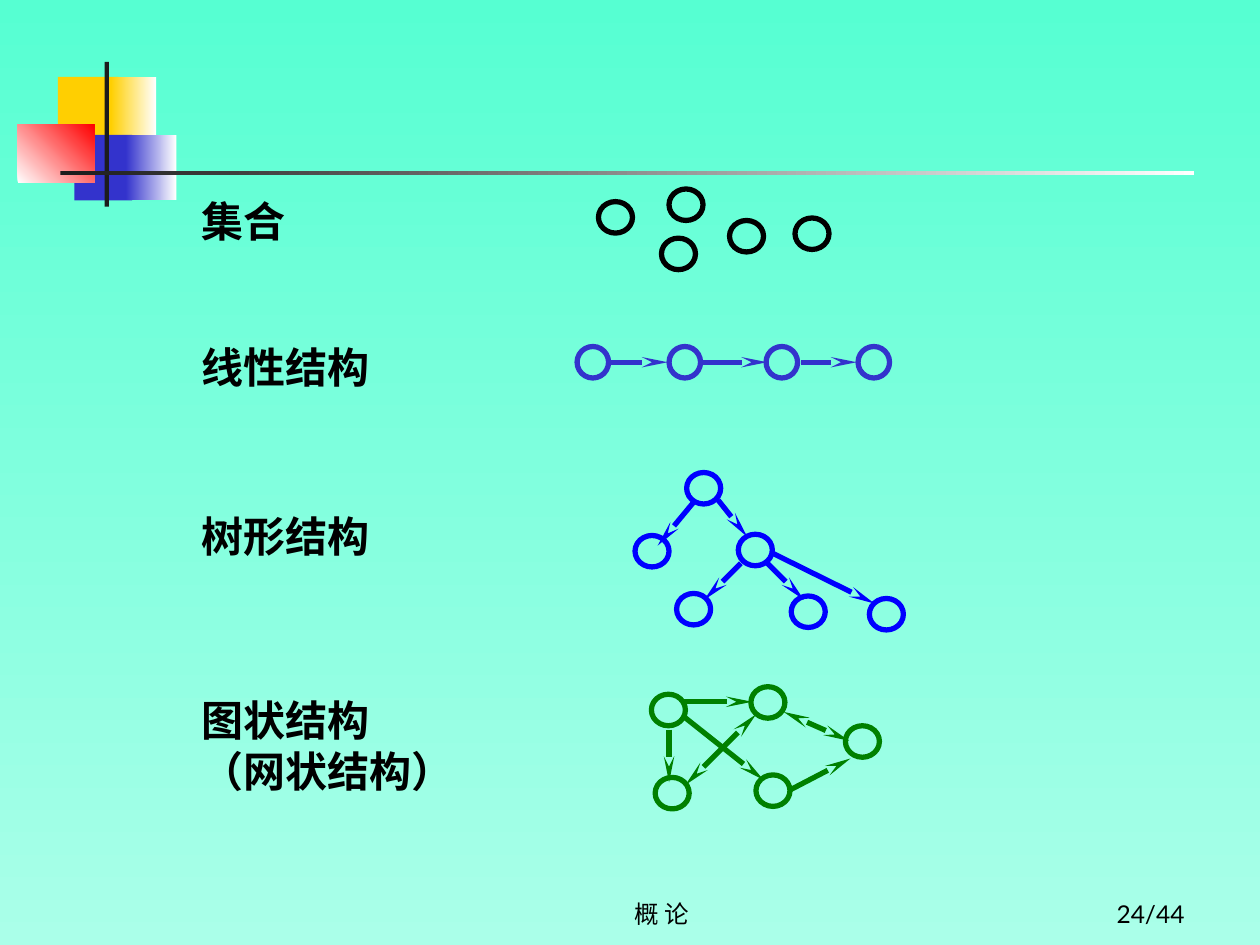
from pptx import Presentation
from pptx import util as u
from pptx.dml.color import RGBColor
from pptx.enum import shapes, text
from lxml import etree
from pptx.oxml.ns import qn

# Grid of 100 columns by 75 rows
CELL = u.Inches(0.1)
FONT = "Lato"


def grid(n):
    return round(n * CELL)


def color(code):
    return RGBColor.from_string(code)


def blend(fill, start, end, angle):
    """Two-stop gradient; angle is clockwise."""
    fill.gradient()
    fill.gradient_angle = (360 - angle) % 360
    for stop, code in zip(fill.gradient_stops, (start, end)):
        stop.color.rgb = color(code)


def block(slide, box, start, end=None, angle=0):
    part = slide.shapes.add_shape(
        shapes.MSO_SHAPE.RECTANGLE, *map(grid, box))
    part.shadow.inherit = False
    part.line.fill.background()
    if end:
        blend(part.fill, start, end, angle)
    else:
        part.fill.solid()
        part.fill.fore_color.rgb = color(start)


def label(slide, box, words, size, bold=False, align=text.PP_ALIGN.LEFT,
          anchor=text.MSO_ANCHOR.MIDDLE):
    frame = slide.shapes.add_textbox(*map(grid, box)).text_frame
    frame.word_wrap = True
    frame.vertical_anchor = anchor
    frame.text = words
    for para in frame.paragraphs:
        para.alignment = align
        for run in para.runs:
            run.font.name = FONT
            run.font.size = u.Pt(size)
            run.font.bold = bold
            run.font.color.rgb = color("000000")


def node(slide, x, y, width, ink):
    ring = slide.shapes.add_shape(
        shapes.MSO_SHAPE.OVAL, *map(grid, (x, y, width, 2.5)))
    ring.shadow.inherit = False
    ring.fill.background()
    ring.line.color.rgb = color(ink)
    ring.line.width = u.Pt(3)


def link(slide, ends, ink, heads):
    arrow = slide.shapes.add_connector(
        shapes.MSO_CONNECTOR.STRAIGHT, *map(grid, ends))
    arrow.line.color.rgb = color(ink)
    arrow.line.width = u.Pt(3)
    line = arrow.line._get_or_add_ln()
    for head in heads:
        etree.SubElement(line, qn(f"a:{head}"), type="stealth",
                         w="sm", len="lg")
    etree.SubElement(arrow._element.spPr, qn("a:effectLst"))


def graph(slide, box, ink, nodes, links=(), width=2.7):
    """Rings and arrows, placed from the corner of the box."""
    left, top = box
    for x, y in nodes:
        node(slide, left + x, top + y, width, ink)
    for x1, y1, x2, y2, *heads in links:
        ends = left + x1, top + y1, left + x2, top + y2
        link(slide, ends, ink, heads or ["tailEnd"])


def emblem(slide, left, top):
    """Coloured squares and the title rule."""
    parts = [
        (3.2, 1.2, 4.8, 5.2, "FFCF01"),
        (7.4, 1.2, 3.6, 5.2, "FFCF01", "FFFFFF"),
        (4.5, 5.8, 4.6, 5.2, "3333CC"),
        (8.6, 5.8, 4, 5.2, "3333CC", "FFFFFF"),
        (0, 5, 6.1, 4.6, "FFFFFF", "FF0000", 315),
        (6.9, 0, 0.35, 11.5, "1C1C1C"),
        (3.4, 8.7, 90, 0.3, "1C1C1C", "FFFFFF"),
    ]
    for x, y, wide, high, *paint in parts:
        block(slide, (left + x, top + y, wide, high), *paint)


def footer(slide, top):
    low = text.MSO_ANCHOR.BOTTOM
    label(slide, (36.7, top, 31.7, 5), "概 论", 14,
          align=text.PP_ALIGN.CENTER, anchor=low)
    label(slide, (74.2, top, 20.8, 5), "24/44", 14,
          align=text.PP_ALIGN.RIGHT, anchor=low)


def main():
    deck = Presentation()
    deck.slide_width, deck.slide_height = grid(100), grid(75)
    slide = deck.slides.add_slide(deck.slide_layouts[6])
    blend(slide.background.fill, "56FFD2", "AAFFE9", 90)
    emblem(slide, 1.4, 4.9)
    footer(slide, 69.2)

    # Names of the structures
    names = [("集合", 15, 5), ("线性结构", 26.6, 5), ("树形结构", 40, 5),
             ("图状结构\n（网状结构）", 53.3, 11.7)]
    for words, top, high in names:
        label(slide, (15, top, 25.8, high), words, 24, bold=True)

    # Set
    graph(slide, (45, 15), "000000",
          [(2.5, 1), (8.1, 0), (7.5, 3.9), (12.9, 2.5), (18.1, 2.3)])

    # Linear list
    graph(slide, (45, 27.5), "3333CC",
          [(x, 0) for x in (0.8, 8.1, 15.8, 23.1)],
          [(a, 1.25, b, 1.25)
           for a, b in ((3.3, 8), (10.5, 15.9), (18.6, 23))], width=2.5)

    # Tree
    graph(slide, (45, 37.5), "0000FF",
          [(9.5, 0), (5.4, 5), (13.6, 4.9), (8.7, 9.6), (17.8, 9.8),
           (24, 10)],
          [(10.1, 2.3, 7.2, 5.8), (13.8, 7.2, 10.9, 10.1),
           (12, 2.2, 14.3, 5.1), (15.7, 7, 18.8, 10.1),
           (16.3, 6.4, 24.4, 10.4)])

    # Network
    both = "headEnd", "tailEnd"
    graph(slide, (45, 54.5), "008000",
          [(14.6, 0), (7, 7.2), (15, 7), (22.1, 3.1), (6.7, 0.6)],
          [(8.1, 3.4, 8.1, 7.6), (9.3, 2.4, 15.6, 7.4),
           (17.2, 2, 22.4, 4.3, *both), (15, 2.2, 9.4, 7.8, *both),
           (22.5, 5.7, 17.7, 8.2, "headEnd"), (9.3, 1.2, 14.7, 1.2)])

    deck.save("out.pptx")


if __name__ == "__main__":
    main()
